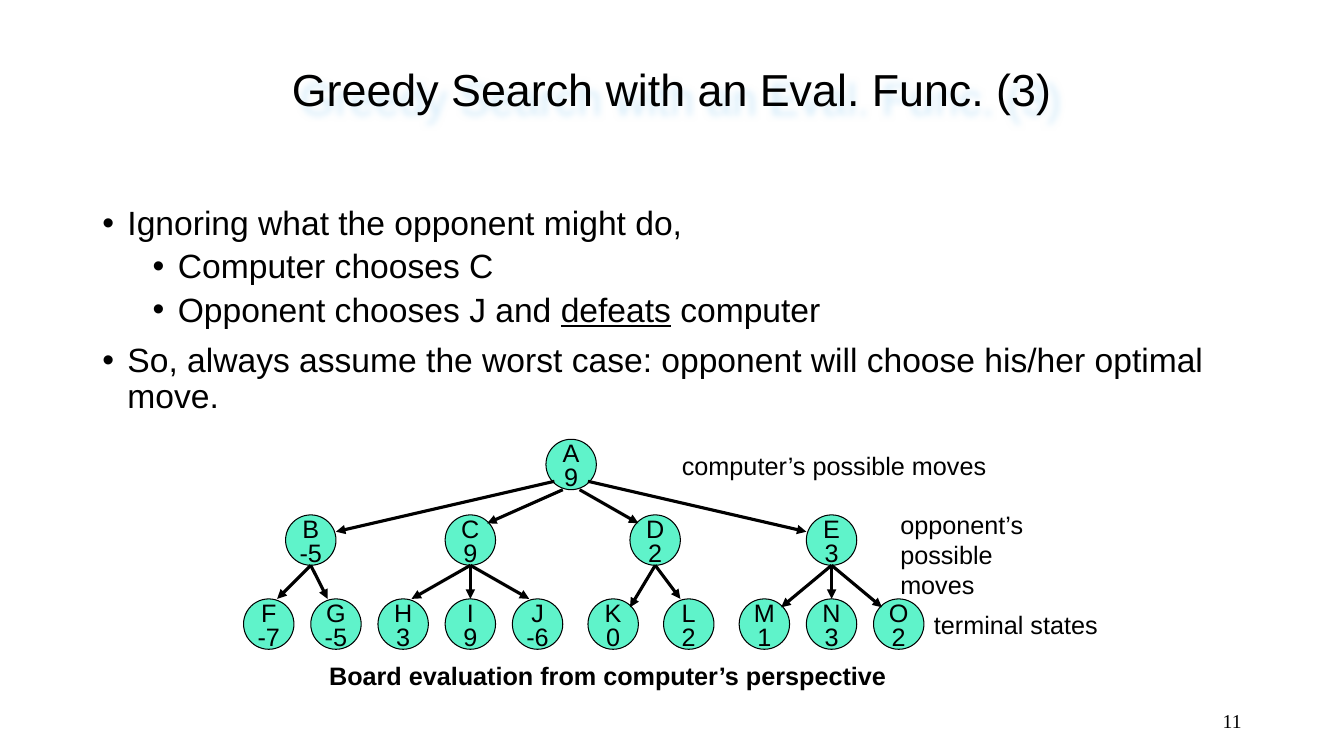
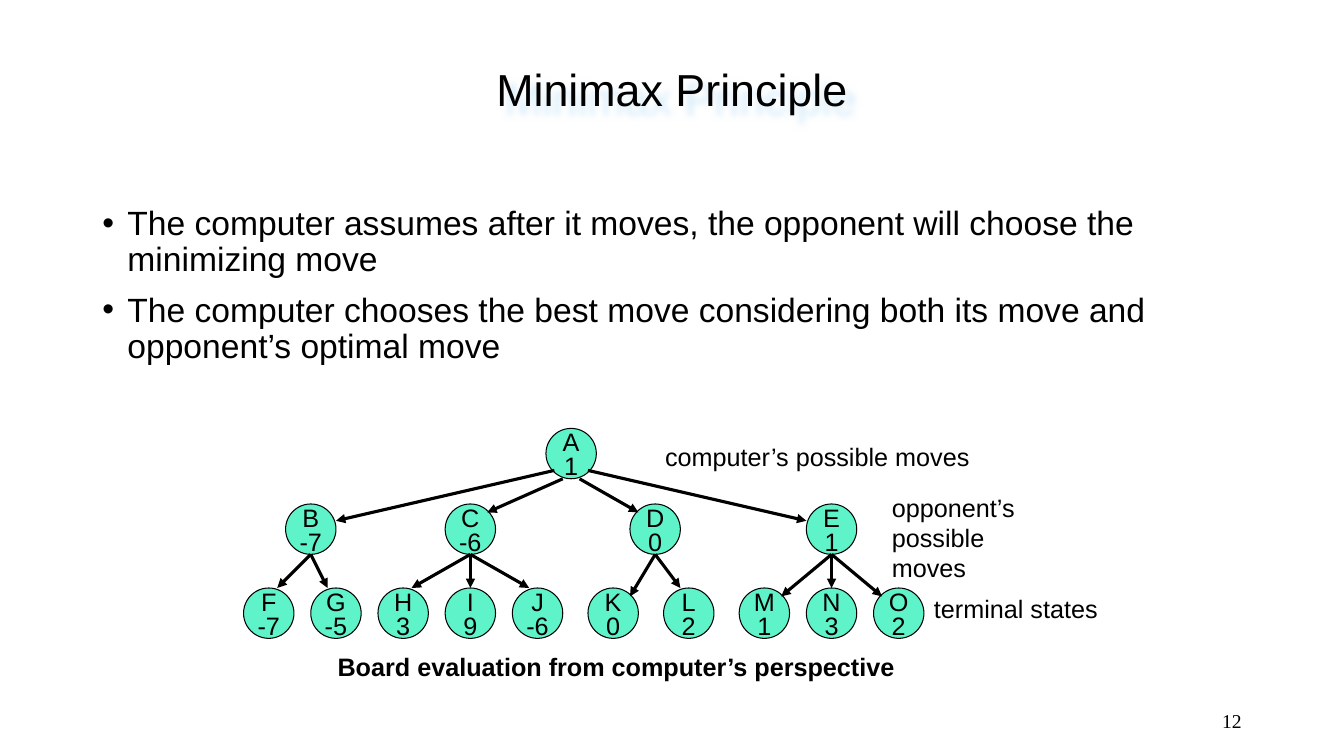
import pptx
import pptx.util
import pptx.dml.color
import pptx.enum.shapes
import pptx.enum.text
import pptx.oxml
import pptx.oxml.ns
from lxml import etree

RGB = pptx.dml.color.RGBColor.from_string
ALIGN = pptx.enum.text.PP_ALIGN
ANCHOR = pptx.enum.text.MSO_ANCHOR
KIND = pptx.enum.shapes.MSO_SHAPE
LINE = pptx.enum.shapes.MSO_CONNECTOR.STRAIGHT
Pt = pptx.util.Pt
COLS, ROWS, CELL = 160, 90, 6

THEME = {
    "ink": RGB("000000"),
    "node": RGB("5FF3CA"),
    "glow": "D5ECFA",
    "thin": Pt(0.75),
    "thick": Pt(2.25),
    "title": {"size": Pt(32), "name": "Arial"},
    "body": {"size": Pt(24), "name": "Arial"},
    "label": {"size": Pt(18), "name": "Arial"},
    "strong": {"size": Pt(18), "name": "Arial", "bold": True},
    "page": {"size": Pt(14), "name": "Times New Roman"},
}

TITLE = (28, 5, 104, 11)
BODY = (11, 24, 138, 57)
PAGE = (113, 83.4, 36, 4.8)

SIZE = 6
TIERS = (0, 9, 19)
NODES = {
    "A": (36, 0),
    "B": (5, 1), "C": (24, 1), "D": (46, 1), "E": (67, 1),
    "F": (0, 2), "G": (8, 2), "H": (16, 2), "I": (24, 2), "J": (32, 2),
    "K": (41, 2), "L": (50, 2), "M": (59, 2), "N": (67, 2), "O": (75, 2),
}
ROOTS = ((37, 5, 11, 11), (38, 6, 29, 10), (40, 6, 47, 10), (41, 5, 67, 11))
TIPS = {
    "B": {"F": (4, 0), "G": (10, 0)},
    "C": {"H": (20, 0), "I": (27, 0), "J": (34, 0)},
    "D": {"K": (46, 1), "L": (52, 0)},
    "E": {"M": (64, 1), "N": (70, 0), "O": (76, 1)},
}
LEAVES = dict(zip("FGHIJKLMNO", (-7, -5, 3, 9, -6, 0, 2, 1, 3, 2)))
LABELS = (
    ("computer’s possible moves", 39, 4.8, "label"),
    ("opponent’s\npossible moves", 23, 8.4, "label"),
    ("terminal states", 22, 4.8, "label"),
    ("Board evaluation from computer’s perspective", 69, 4.8, "strong"),
)

SLIDES = (
    {
        "title": "Greedy Search with an Eval. Func. (3)",
        "page": "11",
        "body": (
            (0, "Ignoring what the opponent might do,"),
            (1, "Computer chooses C"),
            (1, "Opponent chooses J and _defeats_ computer"),
            (0, "So, always assume the worst case: opponent will choose "
                "his/her optimal move."),
        ),
        "tree": (29, 52.3),
        "marks": {"A": 9, "B": -5, "C": 9, "D": 2, "E": 3},
        "spots": ((51, 0.7), (77, 7.7), (81, 19.7), (9, 25.7)),
    },
    {
        "title": "Minimax Principle",
        "page": "12",
        "body": (
            (0, "The computer assumes after it moves, the opponent will "
                "choose the minimizing move"),
            (0, "The computer chooses the best move considering both its "
                "move and opponent’s optimal move"),
        ),
        "tree": (29, 51),
        "marks": {"A": 1, "B": -7, "C": -6, "D": 0, "E": 1},
        "spots": ((49, 1), (76, 7), (81, 19), (10, 26)),
    },
)


def grid(*cells):
    return [Pt(cell * CELL) for cell in cells]


def style(item, values):
    for name, value in values.items():
        setattr(item, name, value)


def write(para, text, font):
    for turn, part in enumerate(text.split("_")):
        run = para.add_run()
        run.text = part
        style(run.font, THEME[font])
        run.font.color.rgb = THEME["ink"]
        if turn % 2:
            run.font.underline = True


def fill(frame, text, font, **values):
    for turn, line in enumerate(text.split("\n")):
        para = frame.add_paragraph() if turn else frame.paragraphs[0]
        style(para, values)
        write(para, line, font)


def label(shapes, box, text, font, anchor=ANCHOR.TOP, align=ALIGN.LEFT):
    shape = shapes.add_textbox(*grid(*box))
    style(shape.text_frame, {"word_wrap": False, "vertical_anchor": anchor})
    fill(shape.text_frame, text, font, alignment=align)
    return shape


def tag(parent, name, **values):
    item = etree.SubElement(parent, pptx.oxml.ns.qn("a:" + name))
    for key, value in values.items():
        item.set(key, str(value))
    return item


def head(slide, box, text):
    shape = label(slide.shapes, box, text, "title", ANCHOR.MIDDLE, ALIGN.CENTER)
    glow = tag(tag(shape.element.spPr, "effectLst"), "outerShdw",
               blurRad=Pt(5), dist=Pt(8), dir=2700000, algn="tl")
    tag(glow, "srgbClr", val=THEME["glow"])


def foot(slide, box, text):
    shape = label(slide.shapes, box, text, "page", ANCHOR.MIDDLE, ALIGN.RIGHT)
    shape.text_frame.word_wrap = True


def points(slide, box, items):
    frame = slide.shapes.add_textbox(*grid(*box)).text_frame
    frame.word_wrap = True
    for turn, (level, text) in enumerate(items):
        para = frame.add_paragraph() if turn else frame.paragraphs[0]
        gap = Pt(5 if level else 10) if turn else Pt(0)
        style(para, {"level": level, "line_spacing": 0.9, "space_before": gap})
        props = para._p.get_or_add_pPr()
        props.set("marL", str(Pt(18 + 36 * level)))
        props.set("indent", str(Pt(-18)))
        tag(props, "buFont", typeface="Arial")
        tag(props, "buChar", char="•")
        write(para, text, "body")


def node(shapes, left, top, name, mark):
    shape = shapes.add_shape(KIND.OVAL, *grid(left, top, SIZE, SIZE))
    shape.shadow.inherit = False
    shape.fill.solid()
    shape.fill.fore_color.rgb = THEME["node"]
    shape.line.color.rgb = THEME["ink"]
    shape.line.width = THEME["thin"]
    frame = shape.text_frame
    style(frame, {"word_wrap": False, "vertical_anchor": ANCHOR.MIDDLE})
    fill(frame, f"{name}\n{mark}", "label", alignment=ALIGN.CENTER)
    frame.paragraphs[1].line_spacing = 0.8
    return shape


def arrow(shapes, *ends):
    line = shapes.add_connector(LINE, *grid(*ends))
    line.line.color.rgb = THEME["ink"]
    line.line.width = THEME["thick"]
    tag(line.line._get_or_add_ln(), "tailEnd", type="triangle")
    tag(line._element.spPr, "effectLst")
    return line


def tree(slide, left, top, marks, spots):
    shapes = slide.shapes.add_group_shape().shapes
    nodes = {
        name: node(shapes, left + col, top + TIERS[tier], name, marks[name])
        for name, (col, tier) in NODES.items()
    }
    for x, y, tox, toy in ROOTS:
        arrow(shapes, left + x, top + y, left + tox, top + toy)
    for name, tips in TIPS.items():
        start = NODES[name][0] + SIZE / 2
        for child, (tip, drop) in tips.items():
            line = arrow(shapes, left + start, top + TIERS[1] + SIZE,
                         left + tip, top + TIERS[2] + drop)
            if tip == NODES[child][0] + SIZE / 2:
                line.end_connect(nodes[child], 0)
    for (x, y), (text, wide, high, font) in zip(spots, LABELS):
        label(shapes, (left + x, top + y, wide, high), text, font)


def build(deck, data):
    slide = deck.slides.add_slide(deck.slide_layouts[6])
    points(slide, BODY, data["body"])
    foot(slide, PAGE, data["page"])
    head(slide, TITLE, data["title"])
    tree(slide, *data["tree"], {**LEAVES, **data["marks"]}, data["spots"])


def main():
    deck = pptx.Presentation()
    deck.slide_width, deck.slide_height = grid(COLS, ROWS)
    for data in SLIDES:
        build(deck, data)
    deck.save("out.pptx")


if __name__ == "__main__":
    main()
